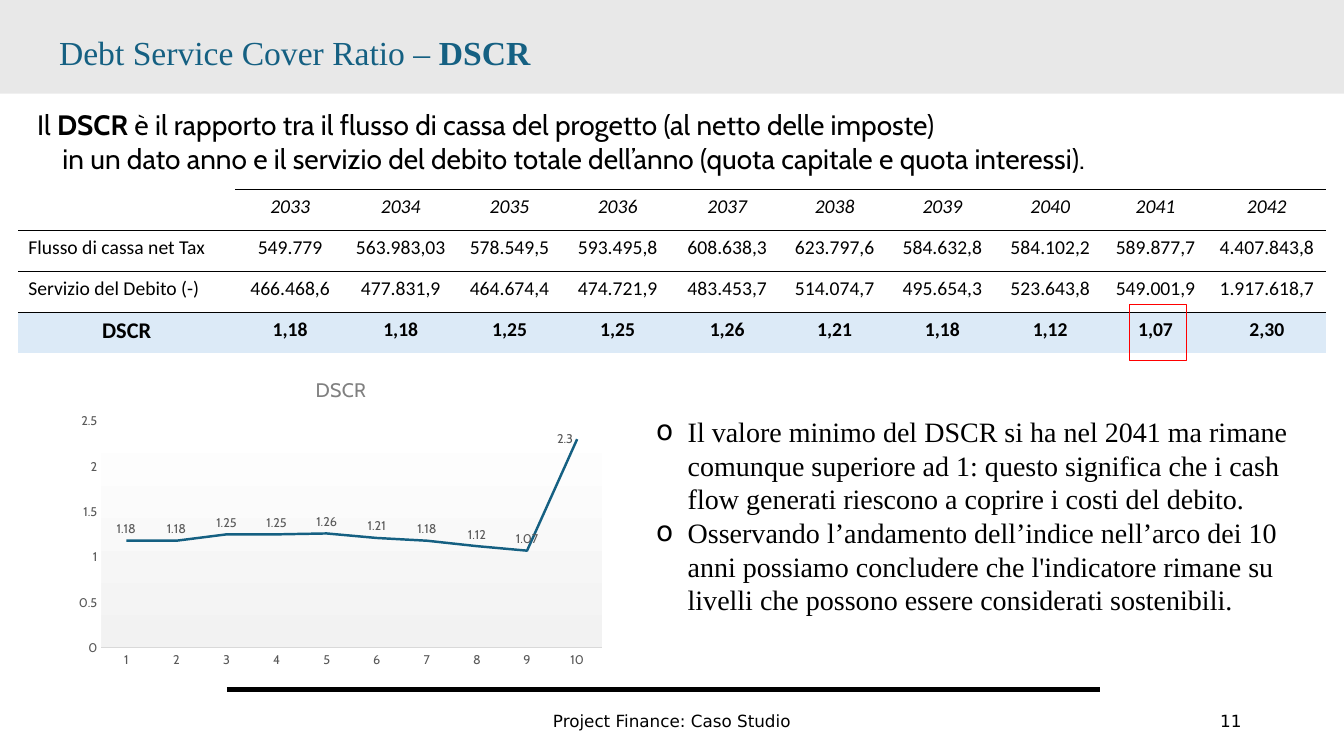
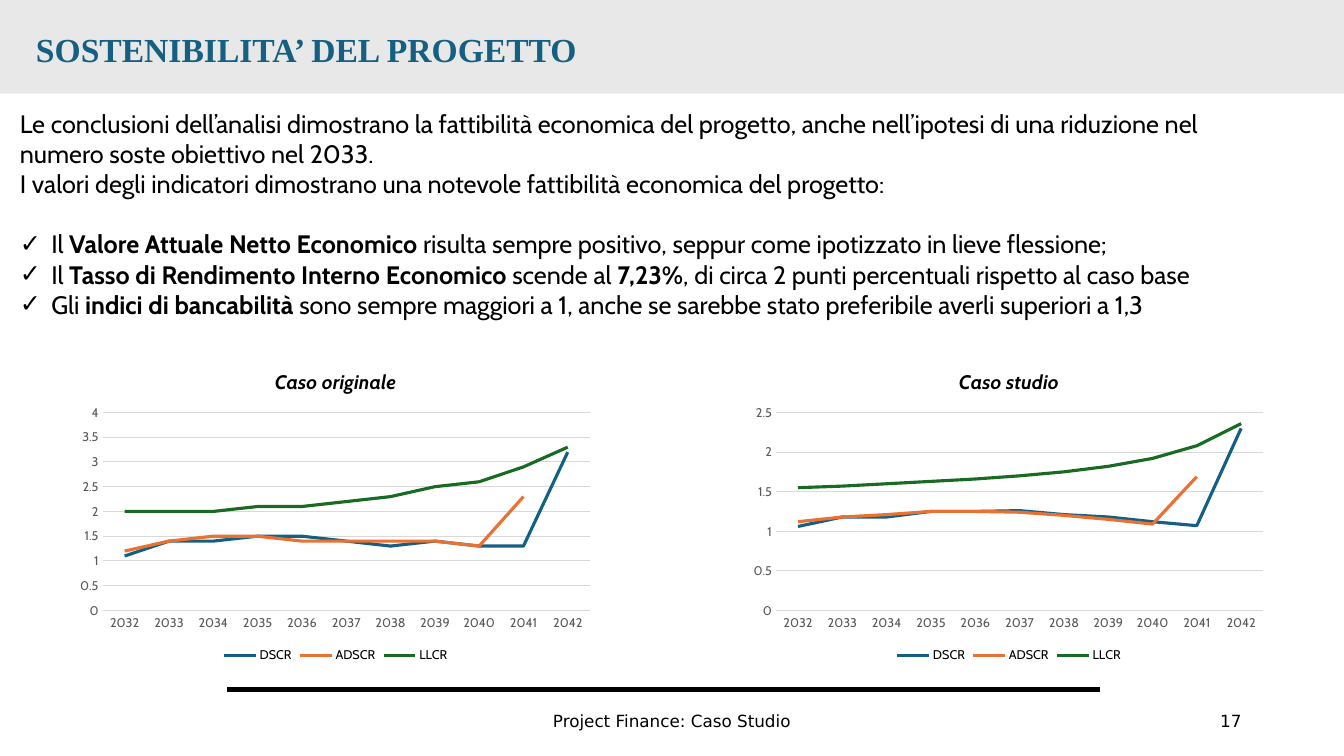
"""Build two slides on debt cover ratios and project viability."""
import pptx
import pptx.chart.data
import pptx.dml.color
import pptx.enum.chart
import pptx.enum.shapes
import pptx.enum.text
import pptx.oxml.ns
import pptx.util
from lxml import etree

Pt = pptx.util.Pt
qn = pptx.oxml.ns.qn
ALIGN = pptx.enum.text.PP_ALIGN
ANCHOR = pptx.enum.text.MSO_ANCHOR
CHART = pptx.enum.chart
HUES = {
    "black": "000000", "band": "E8E8E8", "blue": "156082", "orange": "E97132",
    "green": "196B24", "pale": "DCEAF7", "red": "FF0000", "grid": "D9D9D9",
    "axis": "595959", "grey": "808080", "white": "FFFFFF", "shade": "F2F2F2",
}
HEAD = {"name": "Times New Roman", "size": Pt(24), "color": "blue"}
LEAD = {"name": "Cabin", "size": Pt(20), "color": "black"}
BODY = {**LEAD, "size": Pt(18)}
NOTE = {**LEAD, "name": "Times New Roman"}
FOOT = {"name": "DejaVu Sans", "size": Pt(12), "color": "black"}
CELL = {"name": "Calibri", "size": Pt(14), "color": "black"}
TICK = {"name": "Cabin", "size": Pt(9), "color": "axis"}
KEY = {**TICK, "color": "black"}
PLAIN = {"name": "Cabin", "size": Pt(14), "color": "grey", "bold": False}
STRONG = {**PLAIN, "color": "black", "bold": True, "italic": True}


def rgb(hue):
    return pptx.dml.color.RGBColor.from_string(HUES[hue])


def apply(item, form):
    for key, value in form.items():
        if key == "color":
            item.color.rgb = rgb(value)
        else:
            setattr(item, key, value)


def child(node, tag, **attrs):
    return etree.SubElement(node, qn(tag), attrs)


class Deck:
    def __init__(self):
        self.show = pptx.Presentation()
        self.show.slide_width, self.show.slide_height = Pt(960), Pt(540)
        self.page = None

    def start(self, title, left, top, number):
        self.page = self.show.slides.add_slide(self.show.slide_layouts[1])
        band = self.rect(0, 0, 960, 67, fill="band")
        self.page.shapes._spTree.insert(2, band._element)
        self.fill(self.page.shapes.title, (left, top, 600, 36), [(title, {})], HEAD, ANCHOR.MIDDLE)
        self.rule(162, 786, 492.5)
        self.text((318, 500.5, 324, 29), [("Project Finance: Caso Studio", {"alignment": ALIGN.CENTER})],
                  FOOT, ANCHOR.MIDDLE)
        self.text((678, 500.5, 216, 29), [(number, {"alignment": ALIGN.RIGHT})], FOOT, ANCHOR.MIDDLE)

    def rect(self, *box, fill=None, line=None):
        shape = self.page.shapes.add_shape(pptx.enum.shapes.MSO_SHAPE.RECTANGLE, *map(Pt, box))
        shape.shadow.inherit = False
        if fill:
            shape.fill.solid()
            shape.fill.fore_color.rgb = rgb(fill)
        else:
            shape.fill.background()
        if line:
            apply(shape.line, {"color": line, "width": Pt(0.75)})
        else:
            shape.line.fill.background()
        return shape

    def rule(self, left, right, top):
        line = self.page.shapes.add_connector(
            pptx.enum.shapes.MSO_CONNECTOR.STRAIGHT, Pt(left), Pt(top), Pt(right), Pt(top))
        apply(line.line, {"color": "black", "width": Pt(3)})
        child(line._element.spPr, "a:effectLst")

    def text(self, box, rows, form, anchor=ANCHOR.TOP):
        self.fill(self.page.shapes.add_textbox(*map(Pt, box)), box, rows, form, anchor)

    def body(self, box, rows, form):
        self.fill(self.page.placeholders[1], box, rows, form)

    def fill(self, shape, box, rows, form, anchor=ANCHOR.TOP):
        apply(shape, dict(zip(("left", "top", "width", "height"), map(Pt, box))))
        frame = shape.text_frame
        apply(frame, {"word_wrap": True, "auto_size": pptx.enum.text.MSO_AUTO_SIZE.NONE,
                      "vertical_anchor": anchor})
        for spot, (words, looks) in enumerate(rows):
            para = frame.add_paragraph() if spot else frame.paragraphs[0]
            self.put(para, words, form, **looks)

    def put(self, para, words, form, bullet=None, inset=0, **looks):
        apply(para, {"alignment": ALIGN.LEFT, "space_before": Pt(0), **looks})
        props = para._p.get_or_add_pPr()
        props.set("marL", str(Pt(22.5 if bullet else inset)))
        props.set("indent", str(Pt(-22.5 if bullet else 0)))
        if bullet:
            child(props, "a:buFont", typeface="DejaVu Sans")
            child(props, "a:buChar", char=bullet)
        else:
            child(props, "a:buNone")
        for spot, part in enumerate(words.split("*")):
            if part:
                run = para.add_run()
                run.text = part
                apply(run.font, {"bold": spot % 2 == 1, **form})

    def table(self, left, top, widths, height, rows):
        table = self.page.shapes.add_table(
            len(rows), len(widths), Pt(left), Pt(top), Pt(sum(widths)), Pt(height * len(rows))).table
        apply(table, {"first_row": False, "horz_banding": False})
        table._tbl.tblPr[0].text = "{2D5ABB26-0587-4C30-8999-92F81FD0307C}"
        for col, width in zip(table.columns, widths):
            col.width = Pt(width)
        last = len(rows) - 1
        for r, row in enumerate(rows):
            table.rows[r].height = Pt(height)
            for c, words in enumerate(row):
                cell = table.cell(r, c)
                side = ALIGN.LEFT if c == 0 and r < last else ALIGN.CENTER
                if words:
                    form = {**CELL, "italic": r == 0, "bold": r == last}
                    if r == last and c == 0:
                        form["size"] = Pt(16)
                    self.put(cell.text_frame.paragraphs[0], words, form, alignment=side)
                if r or c:
                    self.edge(cell, "a:lnT")
                if r < last:
                    self.edge(cell, "a:lnB")
                if r == last:
                    cell.fill.solid()
                    cell.fill.fore_color.rgb = rgb("pale")
                else:
                    cell.fill.background()

    def edge(self, cell, tag):
        line = child(cell._tc.get_or_add_tcPr(), tag, w=str(Pt(1)))
        child(child(line, "a:solidFill"), "a:srgbClr", val=HUES["black"])

    def chart(self, box, title, form, cats, lines, top, tall, width, grid=True):
        data = pptx.chart.data.CategoryChartData()
        data.categories = cats
        for name, hue, values in lines:
            data.add_series(name, values)
        chart = self.page.shapes.add_chart(CHART.XL_CHART_TYPE.LINE, *map(Pt, box), data).chart
        apply(chart.font, {**KEY, "size": Pt(10)})
        chart.has_title = True
        self.put(chart.chart_title.text_frame.paragraphs[0], title, form, alignment=ALIGN.CENTER)
        chart.has_legend = grid
        if grid:
            apply(chart.legend, {"position": CHART.XL_LEGEND_POSITION.BOTTOM, "include_in_layout": False})
            apply(chart.legend.font, KEY)
        for axis in (chart.category_axis, chart.value_axis):
            apply(axis, {"major_tick_mark": CHART.XL_TICK_MARK.NONE,
                         "minor_tick_mark": CHART.XL_TICK_MARK.NONE})
            apply(axis.tick_labels.font, TICK)
        pen = {"color": "grid", "width": Pt(0.75)}
        apply(chart.category_axis.format.line, pen)
        apply(chart.value_axis, {"minimum_scale": 0, "maximum_scale": top, "major_unit": 0.5,
                                 "has_major_gridlines": grid})
        chart.value_axis.format.line.fill.background()
        if grid:
            apply(chart.value_axis.major_gridlines.format.line, pen)
        chart.plots[0].vary_by_categories = False
        for series, (name, hue, values) in zip(chart.plots[0].series, lines):
            series.smooth = False
            apply(series.format.line, {"color": hue, "width": Pt(width)})
        self.place(chart, tall)
        return chart

    def place(self, chart, tall):
        area = chart._chartSpace.chart.plotArea
        for old in area.findall(qn("c:layout")):
            area.remove(old)
        layout = child(area, "c:layout")
        area.insert(0, layout)
        inner = child(layout, "c:manualLayout")
        child(inner, "c:layoutTarget", val="inner")
        for tag in ("xMode", "yMode"):
            child(inner, "c:" + tag, val="edge")
        for tag, value in zip("xywh", (0.06, 0.19, 0.92, tall)):
            child(inner, "c:" + tag, val=str(value))

    def labels(self, chart):
        plot = chart.plots[0]
        plot.has_data_labels = True
        spots = CHART.XL_LABEL_POSITION
        apply(plot.data_labels, {"show_value": True, "position": spots.ABOVE})
        apply(plot.data_labels.font, TICK)
        series = plot.series[0]
        for spot in range(len(series.values)):
            label = series.points[spot].data_label
            apply(label.font, TICK)
            label.position = spots.LEFT if spot == len(series.values) - 1 else spots.ABOVE

    def shade(self, chart):
        props = child(chart._chartSpace.chart.plotArea, "c:spPr")
        grad = child(props, "a:gradFill")
        stops = child(grad, "a:gsLst")
        for spot, hue in (("0", "white"), ("100000", "shade")):
            child(child(stops, "a:gs", pos=spot), "a:srgbClr", val=HUES[hue])
        child(grad, "a:lin", ang="5400000", scaled="0")


def cover(deck):
    deck.start("Debt Service Cover Ratio – *DSCR*", 35, 19, "11")
    deck.text((19.5, 73.5, 934, 55.5), [
        ("Il *DSCR* è il rapporto tra il flusso di cassa del progetto (al netto delle imposte)", {}),
        ("in un dato anno e il servizio del debito totale dell’anno (quota capitale e quota interessi).",
         {"inset": 18}),
    ], LEAD)
    deck.table(13, 135.5, [155, 78.5, 79.5, 76, 78.5, 78, 75.5, 78.5, 75.5, 75, 84], 29.2, [
        [""] + [str(year) for year in range(2033, 2043)],
        ["Flusso di cassa net Tax", "549.779", "563.983,03", "578.549,5", "593.495,8", "608.638,3",
         "623.797,6", "584.632,8", "584.102,2", "589.877,7", "4.407.843,8"],
        ["Servizio del Debito (-)", "466.468,6", "477.831,9", "464.674,4", "474.721,9", "483.453,7",
         "514.074,7", "495.654,3", "523.643,8", "549.001,9", "1.917.618,7"],
        ["DSCR", "1,18", "1,18", "1,25", "1,25", "1,26", "1,21", "1,18", "1,12", "1,07", "2,30"],
    ])
    deck.rect(806.5, 217.5, 41, 40, line="red")
    ratios = [1.18, 1.18, 1.25, 1.25, 1.26, 1.21, 1.18, 1.12, 1.07, 2.3]
    chart = deck.chart((49, 258, 389, 225), "DSCR", PLAIN, [str(n) for n in range(1, 11)],
                       [("DSCR", "blue", ratios)], 2.5, 0.72, 1.75, grid=False)
    deck.labels(chart)
    deck.shade(chart)
    point = {"bullet": "o", "line_spacing": Pt(24)}
    deck.body((461.5, 292.5, 480, 152.5), [
        ("Il valore minimo del DSCR si ha nel 2041 ma rimane comunque superiore ad 1: questo significa "
         "che i cash flow generati riescono a coprire i costi del debito.", point),
        ("Osservando l’andamento dell’indice nell’arco dei 10 anni possiamo concludere che l'indicatore "
         "rimane su livelli che possono essere considerati sostenibili.", point),
    ], NOTE)


def outlook(deck):
    deck.start("*SOSTENIBILITA’ DEL PROGETTO*", 18.5, 17, "17")
    tick = {"bullet": "✓"}
    deck.body((7, 73.5, 927, 170), [
        ("Le conclusioni dell’analisi dimostrano la fattibilità economica del progetto, anche "
         "nell’ipotesi di una riduzione nel", {}),
        ("numero soste obiettivo nel 2033.", {}),
        ("I valori degli indicatori dimostrano una notevole fattibilità economica del progetto:", {}),
        ("Il *Valore Attuale Netto Economico *risulta sempre positivo, seppur come ipotizzato in lieve "
         "flessione;", {**tick, "space_before": Pt(21.5)}),
        ("Il *Tasso di Rendimento Interno Economico *scende al *7,23%*, di circa 2 punti percentuali "
         "rispetto al caso base", tick),
        ("Gli *indici di bancabilità *sono sempre maggiori a 1, anche se sarebbe stato preferibile "
         "averli superiori a 1,3", tick),
    ], BODY)
    years = [str(year) for year in range(2032, 2043)]
    names = [("DSCR", "blue"), ("ADSCR", "orange"), ("LLCR", "green")]
    cases = [
        ("Caso originale", 50.5, 4, [
            [1.1, 1.4, 1.4, 1.5, 1.5, 1.4, 1.3, 1.4, 1.3, 1.3, 3.2],
            [1.2, 1.4, 1.5, 1.5, 1.4, 1.4, 1.4, 1.4, 1.3, 2.3, None],
            [2, 2, 2, 2.1, 2.1, 2.2, 2.3, 2.5, 2.6, 2.9, 3.3]]),
        ("Caso studio", 531.5, 2.5, [
            [1.06, 1.18, 1.18, 1.25, 1.25, 1.26, 1.21, 1.18, 1.12, 1.07, 2.3],
            [1.12, 1.18, 1.21, 1.25, 1.25, 1.24, 1.2, 1.15, 1.09, 1.69, None],
            [1.55, 1.57, 1.6, 1.63, 1.66, 1.7, 1.75, 1.82, 1.92, 2.08, 2.36]]),
    ]
    for title, left, top, values in cases:
        lines = [(*name, row) for name, row in zip(names, values)]
        deck.chart((left, 252, 378.5, 224.5), title, STRONG, years, lines, top, 0.63, 2.25)


def main():
    deck = Deck()
    cover(deck)
    outlook(deck)
    deck.show.save("out.pptx")


if __name__ == "__main__":
    main()
